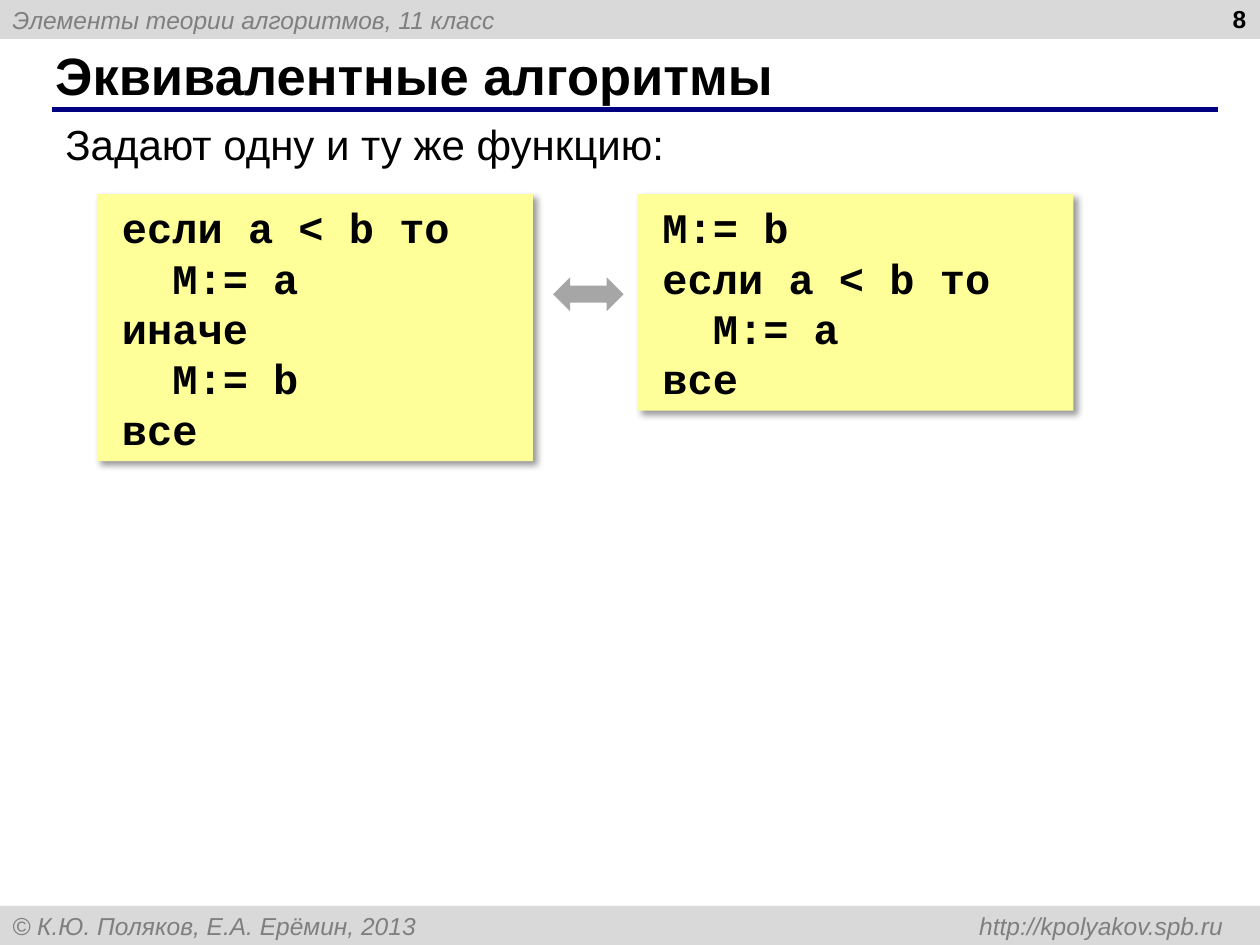
from pptx import Presentation
from pptx.dml.color import RGBColor
from pptx.enum.shapes import MSO_CONNECTOR as Connector, MSO_SHAPE as Shape
from pptx.enum.text import MSO_ANCHOR as Anchor, PP_ALIGN as Align
from pptx.oxml import parse_xml
from pptx.oxml.ns import nsdecls, qn
from pptx.util import Inches, Pt

BLACK = RGBColor(0x00, 0x00, 0x00)
NAVY = RGBColor(0x00, 0x00, 0x80)
BAR_GRAY = RGBColor(0xD9, 0xD9, 0xD9)
TEXT_GRAY = RGBColor(0x7F, 0x7F, 0x7F)
ARROW_GRAY = RGBColor(0xA6, 0xA6, 0xA6)
YELLOW = RGBColor(0xFF, 0xFF, 0x99)

BAR_FONT = dict(name="Arial", size=Pt(14), italic=True)
TITLE_FONT = dict(name="Arial", size=Pt(30), bold=True)
NUMBER_FONT = dict(name="Arial", size=Pt(14), bold=True)
BODY_FONT = dict(name="Arial", size=Pt(24))
CODE_FONT = dict(name="Courier New", size=Pt(24), bold=True)

BARS = [
    (0, "Элементы теории алгоритмов, 11 класс"),
    (7.19, "© К.Ю. Поляков, Е.А. Ерёмин, 2013\thttp://kpolyakov.spb.ru"),
]
TEXTS = [
    ("Эквивалентные алгоритмы", (0.34, 0.33, 9.16, 0.52), TITLE_FONT, Align.LEFT, Anchor.MIDDLE),
    ("8", (7.66, -0.02, 2.33, 0.52), NUMBER_FONT, Align.RIGHT, Anchor.TOP),
    ("Задают одну и ту же функцию:", (0.42, 0.89, 9.44, 0.5), BODY_FONT, Align.LEFT, Anchor.TOP),
]
PROGRAMS = [
    (0.77, [(0, "если a < b то"), (1, "M:= a"), (0, "иначе"), (1, "M:= b"), (0, "все")]),
    (5.06, [(0, "M:= b"), (0, "если a < b то"), (1, "M:= a"), (0, "все")]),
]
CODE_TOP, CODE_WIDTH = 1.54, 3.46
LINE_HEIGHT, CODE_PADDING = 0.4, 0.12
FIRST_INDENT, LEVEL_INDENT = 0.1, 0.4
RIGHT_TAB = 9.61


def write(shape, lines, font, color=BLACK, align=Align.LEFT, anchor=Anchor.MIDDLE):
    frame = shape.text_frame
    frame.word_wrap = True
    frame.vertical_anchor = anchor
    for index, line in enumerate(lines):
        paragraph = frame.paragraphs[0] if index == 0 else frame.add_paragraph()
        paragraph.alignment = align
        run = paragraph.add_run()
        run.text = line
        run.font.color.rgb = color
        for key, value in font.items():
            setattr(run.font, key, value)
    return frame.paragraphs


def add_filled(slide, kind, box, color):
    shape = slide.shapes.add_shape(kind, *map(Inches, box))
    shape.shadow.inherit = False
    shape.fill.solid()
    shape.fill.fore_color.rgb = color
    shape.line.fill.background()
    return shape


def add_bar(slide, top, text):
    bar = add_filled(slide, Shape.RECTANGLE, (0, top, 10, 0.31), BAR_GRAY)
    for paragraph in write(bar, [text], BAR_FONT, TEXT_GRAY):
        paragraph._p.get_or_add_pPr().append(parse_xml(
            f'<a:tabLst {nsdecls("a")}><a:tab pos="{Inches(RIGHT_TAB)}" algn="r"/></a:tabLst>'))


def add_rule(slide):
    rule = slide.shapes.add_connector(
        Connector.STRAIGHT, *map(Inches, (0.41, 0.87, 9.67, 0.87)))
    rule.line.color.rgb = NAVY
    rule.line.width = Pt(3)
    rule._element.spPr.append(parse_xml(f'<a:effectLst {nsdecls("a")}/>'))


def add_program(slide, left, program):
    height = len(program) * LINE_HEIGHT + CODE_PADDING
    box = add_filled(slide, Shape.RECTANGLE, (left, CODE_TOP, CODE_WIDTH, height), YELLOW)
    box._element.spPr.find(qn("a:effectLst")).append(parse_xml(
        f'<a:outerShdw {nsdecls("a")} blurRad="{Pt(4)}" dist="{Pt(3)}" dir="2700000" '
        'algn="tl" rotWithShape="0"><a:srgbClr val="000000"><a:alpha val="40000"/>'
        '</a:srgbClr></a:outerShdw>'))
    paragraphs = write(box, [line for _, line in program], CODE_FONT)
    for paragraph, (level, _) in zip(paragraphs, program):
        indent = Inches(FIRST_INDENT + level * LEVEL_INDENT)
        paragraph._p.get_or_add_pPr().set("indent", str(indent))


def main():
    presentation = Presentation()
    presentation.slide_width = Inches(10)
    presentation.slide_height = Inches(7.5)
    slide = presentation.slides.add_slide(presentation.slide_layouts[6])
    for top, text in BARS:
        add_bar(slide, top, text)
    add_rule(slide)
    for text, box, font, align, anchor in TEXTS:
        shape = slide.shapes.add_textbox(*map(Inches, box))
        write(shape, [text], font, align=align, anchor=anchor)
    for left, program in PROGRAMS:
        add_program(slide, left, program)
    add_filled(slide, Shape.LEFT_RIGHT_ARROW, (4.39, 2.2, 0.56, 0.27), ARROW_GRAY)
    presentation.save("out.pptx")


if __name__ == "__main__":
    main()
